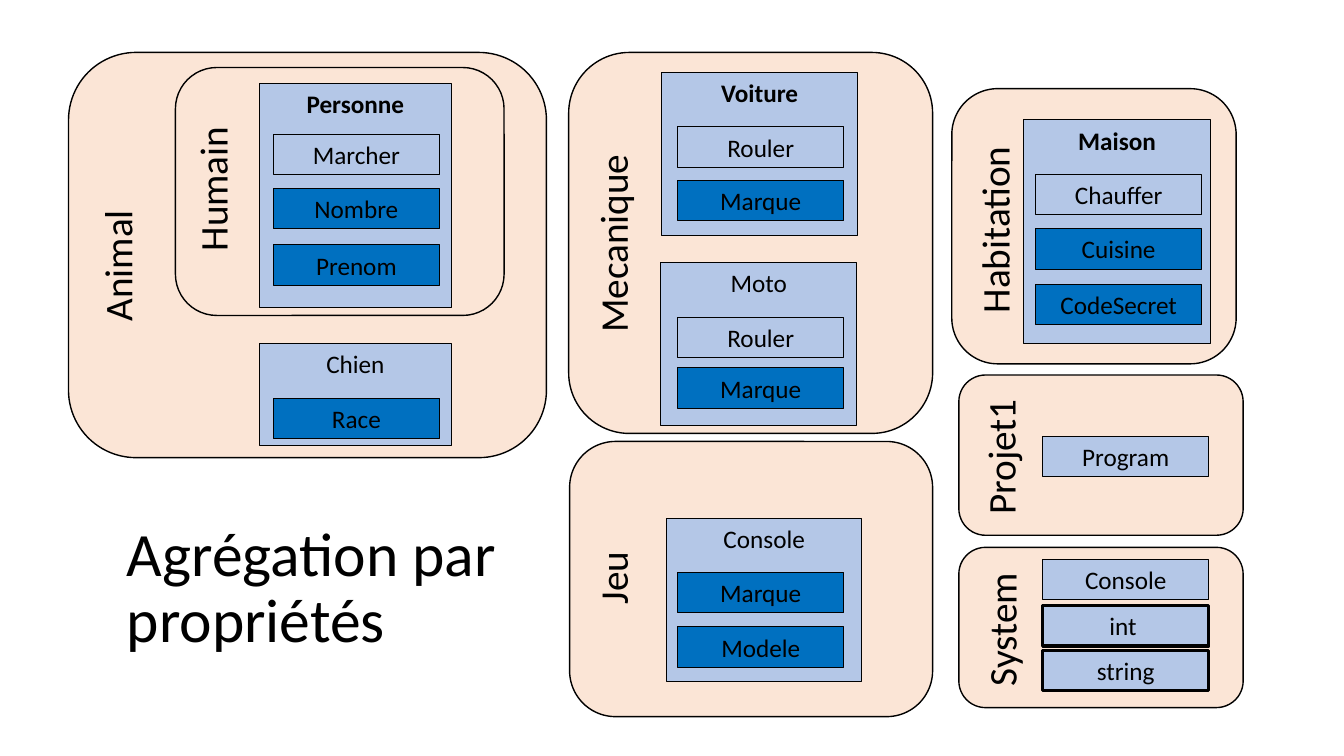
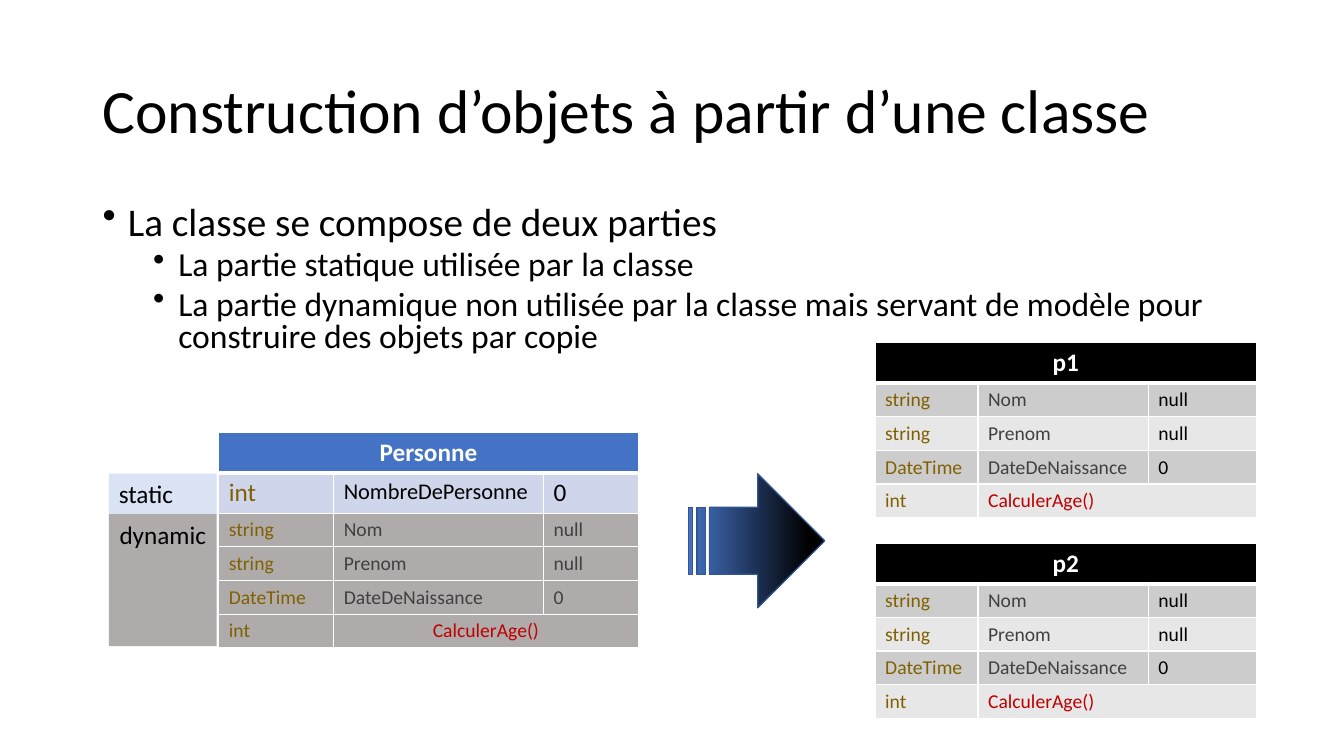
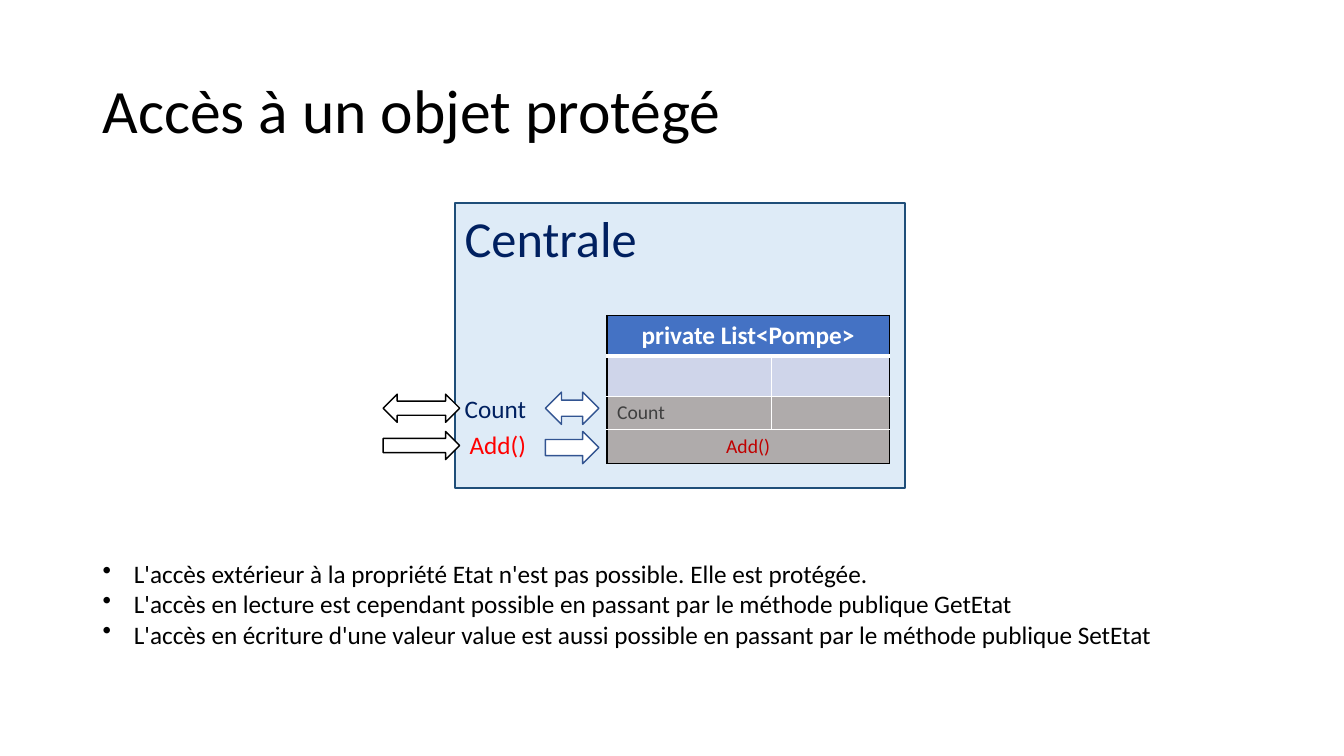
from lxml.etree import SubElement
from pptx import Presentation
from pptx.dml.color import RGBColor as Rgb
from pptx.enum.shapes import MSO_SHAPE as Kind
from pptx.enum.text import MSO_ANCHOR as Anchor, PP_ALIGN as Align
from pptx.oxml.ns import qn
from pptx.util import Pt

SCALE = 9144  # EMU in one px, 100 px to the inch
FONT = "Calibri"
INK = {
    "black": "000000", "white": "FFFFFF", "peach": "FBE5D6", "pale": "B4C7E7",
    "blue": "0070C0", "head": "4472C4", "edge": "325491", "row": "CFD5EA",
    "gray": "AFABAB", "dark": "CCCCCC", "light": "E7E7E7", "type": "806000",
    "name": "404040", "call": "C00000", "red": "FF0000", "navy": "002060",
    "sky": "DEEBF7", "frame": "1F4E79", "ice": "DAE3F3",
}
MEMBER_W, MEMBER_H = 165, 40
PACKS = [  # box, name, label box before rotation (left, top, width)
    ((564, 52, 361, 378), "Mecanique", (508, 212, 199)),
    ((68, 52, 474, 402), "Animal", (50, 234, 132)),
    ((174, 67, 326, 246), "Humain", (138, 158, 145)),
    ((944, 88, 282, 273), "Habitation", (892, 198, 188)),
    ((565, 438, 360, 273), "Jeu", (571, 544, 73)),
    ((951, 372, 282, 159), "Projet1", (924, 424, 136)),
    ((951, 543, 282, 159), "System", (926, 595, 134)),
]
CLASSES = [  # box, name, bold
    ((257, 83, 191, 222), "Personne", True),
    ((257, 341, 191, 101), "Chien", False),
    ((656, 72, 195, 162), "Voiture", True),
    ((655, 260, 195, 162), "Moto", False),
    ((1015, 119, 186, 222), "Maison", True),
    ((661, 514, 194, 162), "Console", False),
]
MEMBERS = [  # left, then (name, top, fill, line width)
    (271, [("Marcher", 133, "pale", 0.75), ("Nombre", 187, "blue", 0.75),
           ("Prenom", 243, "blue", 0.75), ("Race", 395, "blue", 0.75)]),
    (672, [("Rouler", 126, "pale", 0.75), ("Marque", 179, "blue", 0.75),
           ("Rouler", 315, "pale", 0.75), ("Marque", 365, "blue", 0.75),
           ("Marque", 568, "blue", 0.75), ("Modele", 622, "blue", 0.75)]),
    (1027, [("Chauffer", 173, "pale", 0.75), ("Cuisine", 227, "blue", 0.75),
            ("CodeSecret", 282, "blue", 0.75)]),
    (1034, [("Program", 433, "pale", 0.75), ("Console", 555, "pale", 0.75),
            ("int ", 601, "pale", 2.25), ("string", 645, "pale", 2.25)]),
]


def px(*sizes):
    return [size * SCALE for size in sizes]


def rgb(name):
    return Rgb.from_string(INK[name])


def write(frame, text, size=18, ink="black", bold=False, align=Align.LEFT,
          lead=None, gap=0, left=0, hang=0):
    """Add one paragraph; hang gives it a bullet, left is its text indent."""
    para = frame.paragraphs[0]
    if para.runs:
        para = frame.add_paragraph()
        para.space_before = Pt(gap)
    para.alignment = align
    if lead:
        para.line_spacing = lead
    if hang:
        props = para._p.get_or_add_pPr()
        props.set("marL", str(left * SCALE))
        props.set("indent", str(-hang * SCALE))
        SubElement(props, qn("a:buChar"), char="•")
    if not text:
        SubElement(para._p, qn("a:endParaRPr"), sz=str(size * 100))
        return
    run = para.add_run()
    run.text = text
    run.font.name, run.font.size, run.font.bold = FONT, Pt(size), bold
    run.font.color.rgb = rgb(ink)


def shape(slide, kind, box, fill, line=None, width=1):
    item = slide.shapes.add_shape(kind, *px(*box))
    item.shadow.inherit = False
    item.fill.solid()
    item.fill.fore_color.rgb = rgb(fill)
    if line:
        item.line.color.rgb = rgb(line)
        item.line.width = Pt(width)
    else:
        item.line.fill.background()
    item.text_frame.vertical_anchor = Anchor.TOP
    return item


def block(slide, box, text, fill, line=None, width=0.75, **style):
    item = shape(slide, Kind.RECTANGLE, box, fill, line, width)
    write(item.text_frame, text, **style)


def note(slide, box, text="", wrap=True, anchor=Anchor.TOP, turn=0, **style):
    item = slide.shapes.add_textbox(*px(*box))
    item.rotation = turn
    frame = item.text_frame
    frame.word_wrap = wrap
    frame.vertical_anchor = anchor
    if text:
        write(frame, text, **style)
    return frame


def title(slide, text, box=(92, 40, 1150, 145), anchor=Anchor.MIDDLE):
    note(slide, box, text, anchor=anchor, size=44, lead=0.9)


def border(cell, sides):
    """Set the cell's edges from {side: (colour, points)}, in L R T B order."""
    props = cell._tc.get_or_add_tcPr()
    for side, (ink, width) in sides.items():
        line = SubElement(props, qn("a:ln" + side), w=str(Pt(width)))
        fill = SubElement(line, qn("a:solidFill"))
        SubElement(fill, qn("a:srgbClr"), val=INK[ink])


def table(slide, left, top, cols, rows, edge="white"):
    """Rows are (height, fill, cells); a short row's last cell spans the rest."""
    high = sum(row[0] for row in rows)
    place = px(left, top, sum(cols), high)
    grid = slide.shapes.add_table(len(rows), len(cols), *place).table
    grid.first_row = grid.horz_banding = False
    for col, width in zip(grid.columns, px(*cols)):
        col.width = width
    last = len(cols) - 1
    for r, (height, fill, cells) in enumerate(rows):
        grid.rows[r].height = height * SCALE
        for c, (text, style) in enumerate(cells):
            cell = grid.cell(r, c)
            end = last if c == len(cells) - 1 else c
            if end > c:
                cell.merge(grid.cell(r, end))
            border(cell, {
                "L": (edge if c == 0 else "white", 1),
                "R": (edge if end == last else "white", 1),
                "T": (edge if r == 0 else "white", 3 if r == 1 else 1),
                "B": (edge if r == len(rows) - 1 else "white", 3 if r == 0 else 1),
            })
            cell.fill.solid()
            cell.fill.fore_color.rgb = rgb(fill)
            write(cell.text_frame, text, **style)


def header(text):
    return [(text, dict(ink="white", bold=True, align=Align.CENTER))]


def call(text, align=Align.CENTER):
    return text, dict(size=14, ink="call", align=align)


def fields(height, fills, ink, align):
    """Rows for the dynamic part of Personne, with ink for the values."""
    parts = [("string", "Nom", "null"), ("string", "Prenom", "null"),
             ("DateTime", "DateDeNaissance", "0"), ("int",)]
    inks = ("type", "name", ink)
    rows = [(height, fills[i % len(fills)],
             [(text, dict(size=14, ink=tone)) for text, tone in zip(part, inks)])
            for i, part in enumerate(parts)]
    rows[-1][2].append(call("CalculerAge()", align))
    return rows


def packs(slide):
    for box, name, (left, top, width) in PACKS:
        shape(slide, Kind.ROUNDED_RECTANGLE, box, "peach", "black")
        note(slide, (left, top, width, 57), name, wrap=False, turn=270, size=28)
    for box, name, bold in CLASSES:
        block(slide, box, name, "pale", "black", bold=bold, align=Align.CENTER)
    for left, members in MEMBERS:
        for name, top, fill, width in members:
            block(slide, (left, top, MEMBER_W, MEMBER_H), name, fill, "black",
                  width, align=Align.CENTER)
    title(slide, "Agrégation par propriétés", (116, 514, 393, 127), Anchor.TOP)


def build(slide):
    title(slide, "Construction d’objets à partir d’une classe")
    body = note(slide, (92, 200, 1154, 167))
    write(body, "La classe se compose de deux parties", size=28, lead=0.8,
          left=25, hang=25)
    for text in ("La partie statique utilisée par la classe",
                 "La partie dynamique non utilisée par la classe mais servant "
                 "de modèle pour construire des objets par copie"):
        write(body, text, size=24, lead=0.8, gap=5, left=75, hang=25)

    static = [("int", dict(ink="type")), ("NombreDePersonne", dict(size=16)),
              ("0", {})]
    table(slide, 217, 429, (114, 208, 94),
          [(38, "head", header("Personne")), (38, "row", static)]
          + fields(32, ["gray"], "name", Align.CENTER))
    for name, top in (("p1", 340), ("p2", 539)):
        table(slide, 868, top, (102, 169, 107),
              [(39, "black", header(name))]
              + fields(33, ["dark", "light"], "black", Align.LEFT))

    arrow = shape(slide, Kind.STRIPED_RIGHT_ARROW, (683, 470, 135, 133),
                  "head", "edge")
    arrow.fill.gradient()
    arrow.fill.gradient_angle = 0
    for stop, ink, spot in zip(arrow.fill.gradient_stops, ("head", "black"),
                               (0, 0.88)):
        stop.color.rgb = rgb(ink)
        stop.position = spot

    block(slide, (108, 470, 107, 40), "static", "ice")
    block(slide, (108, 510, 107, 131), "dynamic", "gray", align=Align.CENTER)


def access(slide):
    block(slide, (451, 201, 447, 283), "Centrale", "sky", "frame", 1.5,
          size=36, ink="navy")
    title(slide, "Accès à un objet protégé")
    blank = ("", {})
    table(slide, 602, 313, (163, 117), [
        (38, "head", header("private List<Pompe>")),
        (31, "row", [blank, blank]),
        (32, "gray", [("Count", dict(size=14, ink="name")), ("", dict(size=14))]),
        (32, "gray", [call("Add()")]),
    ], edge="black")
    points = note(slide, (92, 549, 1111, 101))
    for text in (
            "L'accès extérieur à la propriété Etat n'est pas possible. "
            "Elle est protégée.",
            "L'accès en lecture est cependant possible en passant par le "
            "méthode publique GetEtat",
            "L'accès en écriture d'une valeur value est aussi possible en "
            "passant par le méthode publique SetEtat"):
        write(points, text, left=31, hang=31)
    for left, width, height, line in ((541, 53, 32, "edge"), (380, 76, 28, "black")):
        for kind, top in ((Kind.LEFT_RIGHT_ARROW, 405 - height // 2),
                          (Kind.RIGHT_ARROW, 428)):
            shape(slide, kind, (left, top, width, height), "white", line)
    note(slide, (451, 385, 82, 40), "Count", wrap=False, ink="navy")
    note(slide, (456, 421, 77, 40), "Add()", wrap=False, ink="red")


def main():
    deck = Presentation()
    deck.slide_width, deck.slide_height = px(1333, 750)
    for fill in (packs, build, access):
        fill(deck.slides.add_slide(deck.slide_layouts[6]))
    deck.save("out.pptx")


if __name__ == "__main__":
    main()
